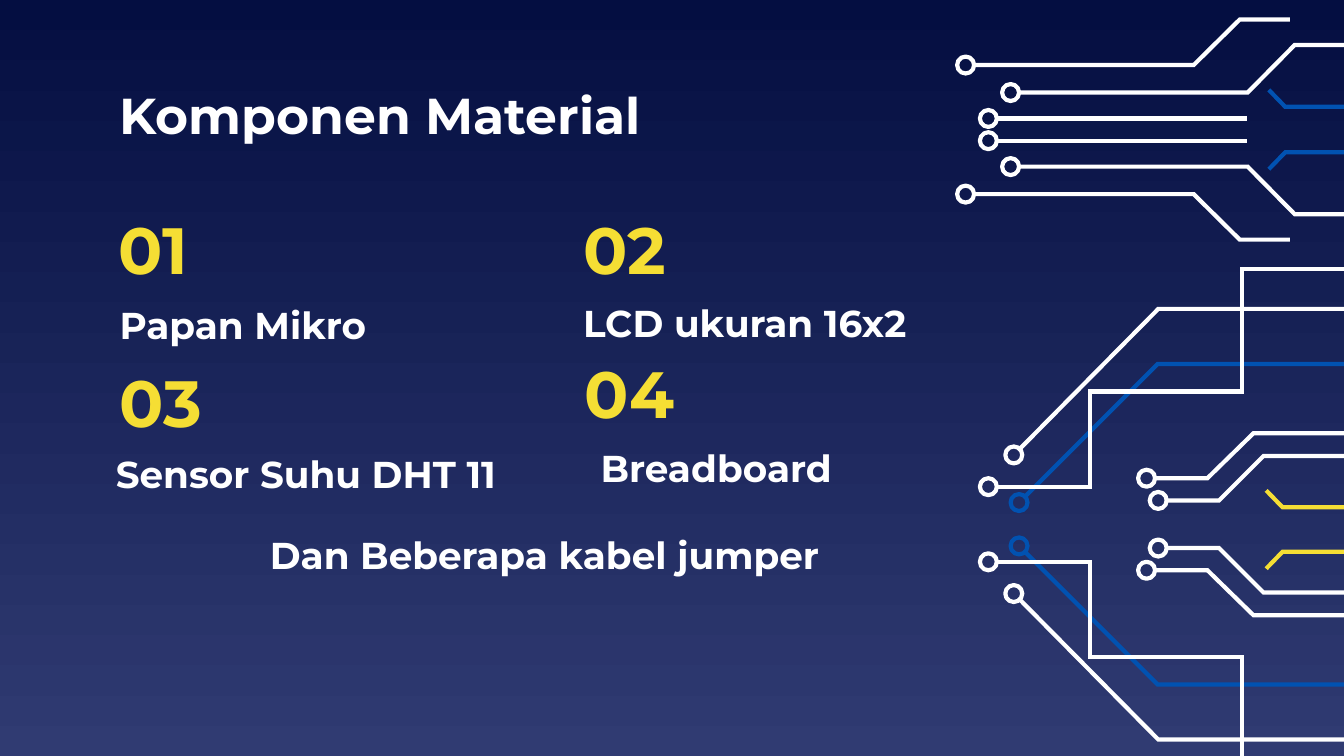
from lxml import etree
from math import hypot
from pptx import Presentation
from pptx.dml.color import RGBColor
from pptx.enum.shapes import MSO_SHAPE as Preset
from pptx.enum.text import MSO_ANCHOR as Anchor
from pptx.oxml.ns import qn
from pptx.util import Cm, Pt

WHITE = RGBColor(0xFF, 0xFF, 0xFF)
YELLOW = RGBColor(0xF5, 0xDE, 0x34)
BLUE = RGBColor(0x01, 0x52, 0xB1)
NIGHT = RGBColor(0x04, 0x0E, 0x41)
DUSK = RGBColor(0x30, 0x3B, 0x72)

FONT = "Montserrat"
PAGE_WIDTH, PAGE_HEIGHT = 25.4, 14.29
PAD_RADIUS = 0.16
TRACE_WIDTH = Pt(2.25)

# Heights (cm) about which each part of the circuit is mirrored
TOP_AXIS, BOTTOM_AXIS, YELLOW_AXIS = 2.45, 9.91, 10.01

# Traces as points in cm; the first point of a padded trace is its pad's centre
TOP_TRACES = [
    [(18.25, 1.23), (22.56, 1.23), (23.43, 0.37), (24.38, 0.37)],
    [(19.1, 1.75), (23.58, 1.75), (24.47, 0.85), (PAGE_WIDTH, 0.85)],
    [(18.68, 2.24), (23.57, 2.24)],
]
INNER_TRACES = [
    [(21.67, 9.04), (22.82, 9.04), (23.69, 8.19), (PAGE_WIDTH, 8.19)],
    [(21.89, 9.46), (23.04, 9.46), (23.88, 8.62), (PAGE_WIDTH, 8.62)],
]
BLUE_DIAGONAL = [(19.26, 9.5), (21.88, 6.88), (PAGE_WIDTH, 6.88)]
WHITE_DIAGONAL = [(19.16, 8.6), (21.89, 5.84), (PAGE_WIDTH, 5.84)]
STAIR = [(18.68, 9.2), (20.6, 9.2), (20.6, 7.4), (23.47, 7.4)]
BLUE_HOOK = [(23.98, 1.7), (24.29, 2.02), (PAGE_WIDTH, 2.02)]
YELLOW_HOOK = [(23.93, 9.27), (24.24, 9.59), (PAGE_WIDTH, 9.59)]

# Number, its left and top, then component, its left, top and width
COMPONENTS = [
    ("01", 1.99, 3.96, "Papan Mikro", 2.01, 5.47, 6.12),
    ("02", 10.77, 3.96, "LCD ukuran 16x2", 10.77, 5.43, 7.62),
    ("03", 2.01, 6.86, "Sensor Suhu DHT 11", 1.94, 8.29, 7.98),
    ("04", 10.8, 6.68, "Breadboard", 11.1, 8.18, 6.12),
]


def mirror(points, axis):
    return [(x, 2 * axis - y) for x, y in points]


def set_outline(shape, color):
    shape.shadow.inherit = False
    shape.fill.background()
    shape.line.color.rgb = color
    shape.line.width = TRACE_WIDTH


def add_trace(page, points, color):
    corners = [(Cm(x), Cm(y)) for x, y in points]
    builder = page.shapes.build_freeform(*corners[0])
    builder.add_line_segments(corners[1:], close=False)
    trace = builder.convert_to_shape()
    set_outline(trace, color)
    line = trace.line._get_or_add_ln()
    etree.SubElement(line, qn("a:miter"), lim="800000")


def add_padded_trace(page, points, color):
    """Draw a ring and a trace that leaves from its edge."""
    (x, y), (next_x, next_y) = points[:2]
    share = PAD_RADIUS / hypot(next_x - x, next_y - y)
    edge = (x + share * (next_x - x), y + share * (next_y - y))
    add_trace(page, [edge] + points[1:], color)
    pad = page.shapes.add_shape(
        Preset.OVAL, Cm(x - PAD_RADIUS), Cm(y - PAD_RADIUS),
        Cm(2 * PAD_RADIUS), Cm(2 * PAD_RADIUS))
    set_outline(pad, color)


def add_mirrored(page, draw, points, axis, color):
    draw(page, points, color)
    draw(page, mirror(points, axis), color)


def add_text(page, text, left, top, width, height, size, color=WHITE, wrap=True):
    box = page.shapes.add_textbox(Cm(left), Cm(top), Cm(width), Cm(height))
    frame = box.text_frame
    frame.word_wrap = wrap
    frame.vertical_anchor = Anchor.MIDDLE
    frame.margin_left = frame.margin_right = Cm(0.25)
    span = frame.paragraphs[0].add_run()
    span.text = text
    span.font.name = FONT
    span.font.size = Pt(size)
    span.font.bold = True
    span.font.color.rgb = color


def set_background(page):
    fill = page.background.fill
    fill.gradient()
    fill.gradient_angle = 270
    for stop, color in zip(fill.gradient_stops, (NIGHT, DUSK)):
        stop.color.rgb = color


def add_bottom_circuit(page):
    add_mirrored(page, add_padded_trace, BLUE_DIAGONAL, BOTTOM_AXIS, BLUE)
    turn_x = STAIR[-1][0]
    upper_end = [(turn_x, 5.08), (PAGE_WIDTH, 5.08)]
    lower_end = [(turn_x, PAGE_HEIGHT)]
    add_padded_trace(page, STAIR + upper_end, WHITE)
    add_padded_trace(page, mirror(STAIR, BOTTOM_AXIS) + lower_end, WHITE)
    add_mirrored(page, add_padded_trace, WHITE_DIAGONAL, BOTTOM_AXIS, WHITE)


def main():
    deck = Presentation()
    deck.slide_width, deck.slide_height = Cm(PAGE_WIDTH), Cm(PAGE_HEIGHT)
    page = deck.slides.add_slide(deck.slide_layouts[6])
    set_background(page)

    for points in INNER_TRACES:
        add_mirrored(page, add_padded_trace, points, BOTTOM_AXIS, WHITE)
    add_mirrored(page, add_trace, YELLOW_HOOK, YELLOW_AXIS, YELLOW)
    add_mirrored(page, add_trace, BLUE_HOOK, TOP_AXIS, BLUE)

    add_text(page, "Komponen Material", 2.01, 1.5, 14.91, 1.32, 27)
    for number, number_x, number_y, name, name_x, name_y, width in COMPONENTS:
        add_text(page, number, number_x, number_y, 2.51, 1.47, 35, YELLOW)
        add_text(page, name, name_x, name_y, width, 1.32, 20)

    add_bottom_circuit(page)
    for points in TOP_TRACES:
        add_mirrored(page, add_padded_trace, points, TOP_AXIS, WHITE)
    add_text(page, "Dan Beberapa kabel jumper", 4.85, 9.93, 11.02, 1.12, 20,
             wrap=False)

    deck.save("out.pptx")


if __name__ == "__main__":
    main()
